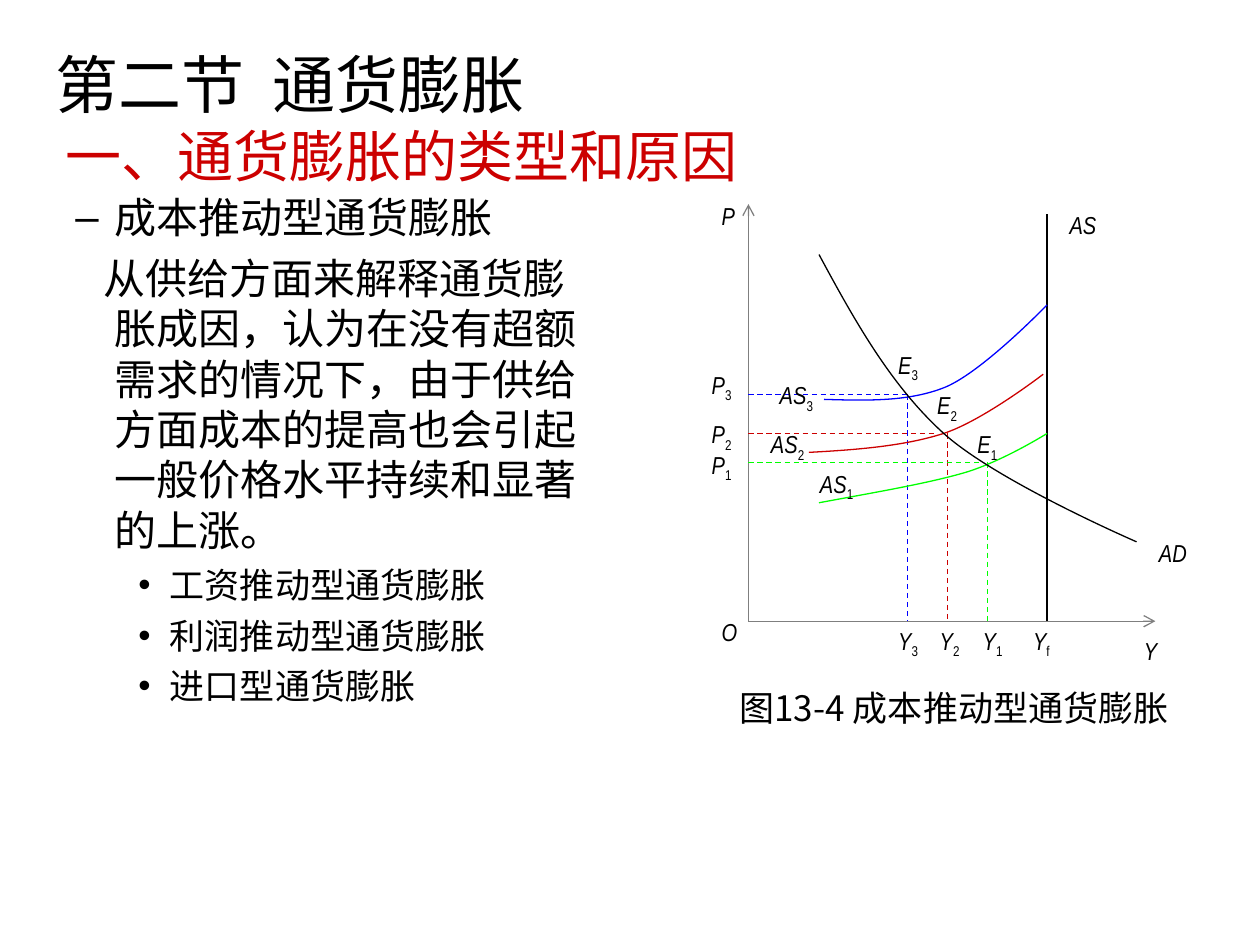
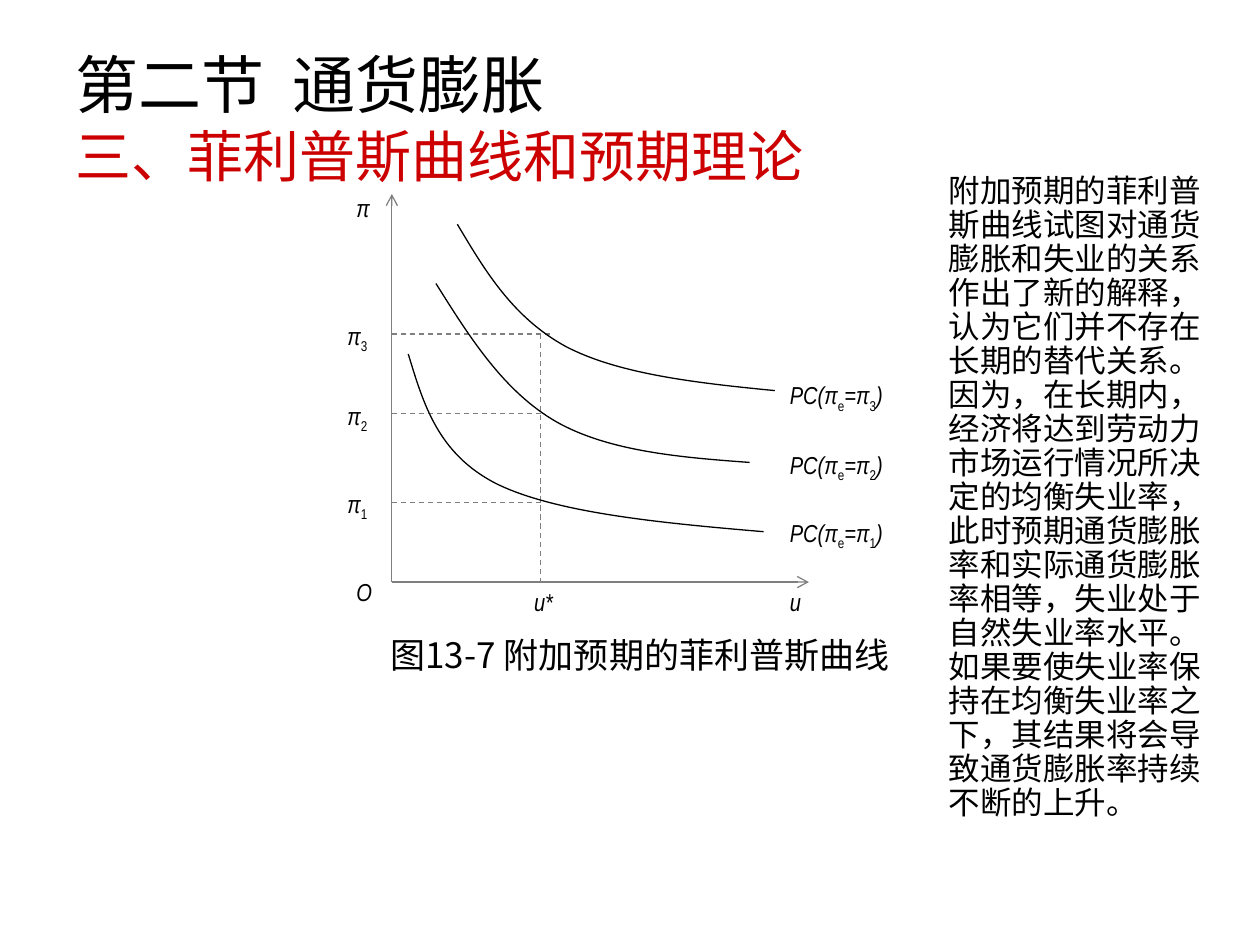
from lxml import etree
from pptx import Presentation
from pptx.dml.color import RGBColor
from pptx.enum.dml import MSO_LINE
from pptx.enum.shapes import MSO_CONNECTOR
from pptx.enum.text import MSO_ANCHOR
from pptx.oxml.ns import qn
from pptx.util import Inches, Pt

DASH = MSO_LINE.DASH
STRAIGHT = MSO_CONNECTOR.STRAIGHT
MIDDLE = MSO_ANCHOR.MIDDLE
TOP = MSO_ANCHOR.TOP

# Shared style
BLACK, RED, GREY = "000000", "CC0000", "7F7F7F"
BLUE, GREEN = "0000FF", "00FF00"
SANS, NARROW, HAN = "Arial", "Arial Narrow", "Noto Sans CJK SC"
LEADING = 1.2


def rgb(code):
    return RGBColor.from_string(code)


# Text
def add_box(slide, left, top, width, height, anchor=TOP, inset=(0.1, 0.05)):
    frame = slide.shapes.add_textbox(
        Inches(left), Inches(top), Inches(width), Inches(height)).text_frame
    frame.word_wrap = True
    frame.vertical_anchor = anchor
    frame.margin_left = frame.margin_right = Inches(inset[0])
    frame.margin_top = frame.margin_bottom = Inches(inset[1])
    return frame


def add_run(para, text, size, face=SANS, color=BLACK):
    run = para.add_run()
    run.text = text
    run.font.size = Pt(size)
    run.font.name = face
    run.font.color.rgb = rgb(color)
    etree.SubElement(run.font._element, qn("a:ea"), typeface=HAN)
    return run


def add_para(frame, text, size, face=SANS, color=BLACK, left=0, hang=0,
             gap=0, bullet=None, tight=1):
    """Add one paragraph; the first one fills the empty paragraph of the box."""
    para = frame.paragraphs[0]
    if para.runs:
        para = frame.add_paragraph()
        para.space_before = Pt(gap)
    para.line_spacing = Pt(size * LEADING * tight)
    props = para._p.get_or_add_pPr()
    props.set("marL", str(Inches(left)))
    props.set("indent", str(Inches(hang)))
    if bullet:
        etree.SubElement(props, qn("a:buFont"), typeface=SANS)
        etree.SubElement(props, qn("a:buChar"), char=bullet)
    else:
        etree.SubElement(props, qn("a:buNone"))
    add_run(para, text, size, face, color)


def add_title(slide, left, head, indent=0):
    frame = add_box(slide, left, 0.46, 9, 0.94, MIDDLE)
    add_para(frame, "第二节  通货膨胀", 36, HAN)
    add_para(frame, head, 32, HAN, RED, left=indent)


def add_caption(slide, left, top, width, text):
    add_para(add_box(slide, left, top, width, 0.77), text, 20, HAN)


def add_label(slide, text, left, top, width=0.6, stops=()):
    """Italic label; the letter after each underscore is an upright subscript."""
    height = 0.37 if "_" in text else 0.34
    para = add_box(slide, left, top, width, height).paragraphs[0]
    if stops:
        tabs = etree.SubElement(para._p.get_or_add_pPr(), qn("a:tabLst"))
        for stop in stops:
            etree.SubElement(tabs, qn("a:tab"), pos=str(Inches(stop)),
                             algn="l")
    first, *rest = text.split("_")
    add_run(para, first, 14, NARROW).font.italic = True
    for part in rest:
        sub = add_run(para, part[0], 14, NARROW)
        sub.font._element.set("baseline", "-25000")
        if part[1:]:
            add_run(para, part[1:], 14, NARROW).font.italic = True


# Lines and curves
def add_line(slide, start, end, color=GREY, dash=False, arrow=False):
    line = slide.shapes.add_connector(
        STRAIGHT, *(Inches(v) for v in (*start, *end)))
    line.line.color.rgb = rgb(color)
    line.line.width = Pt(0.75)
    if dash:
        line.line.dash_style = DASH
    if arrow:
        etree.SubElement(line.line._get_or_add_ln(), qn("a:tailEnd"),
                         type="arrow")
    etree.SubElement(line._element.spPr, qn("a:effectLst"))


def add_axes(slide, zero, right, top):
    add_line(slide, zero, (right, zero[1]), arrow=True)
    add_line(slide, zero, (zero[0], top), arrow=True)


def add_curve(slide, color, *knots):
    """Draw joined cubic curves: a start point, then three points for each."""
    spots = [(Inches(x), Inches(y)) for x, y in knots]
    pen = slide.shapes.build_freeform(*spots[0])
    pen.add_line_segments(spots[1:], close=False)
    curve = pen.convert_to_shape()
    # Turn each three straight steps into one cubic segment
    steps = list(curve._element.iter(qn("a:lnTo")))
    for i in range(0, len(steps), 3):
        cubic = etree.Element(qn("a:cubicBezTo"))
        steps[i].addprevious(cubic)
        for step in steps[i:i + 3]:
            cubic.append(step[0])
            step.getparent().remove(step)
    curve.shadow.inherit = False
    curve.fill.background()
    curve.line.color.rgb = rgb(color)
    curve.line.width = Pt(0.75)


# Slide 1: cost-push inflation
def cost_slide(slide):
    add_title(slide, 0.34, "一、通货膨胀的类型和原因", 0.08)
    body = add_box(slide, 0, 1.47, 4.82, 5.23)
    add_para(body, "成本推动型通货膨胀", 24, left=0.81, hang=-0.31, bullet="–")
    add_para(body, "从供给方面来解释通货膨胀成因，认为在没有超额需求的情况下，"
             "由于供给方面成本的提高也会引起一般价格水平持续和显著的上涨。",
             24, left=0.81, hang=-0.09, gap=6)
    for kind in ("工资推动型", "利润推动型", "进口型"):
        add_para(body, kind + "通货膨胀", 20, left=1.25, hang=-0.25, gap=5,
                 bullet="•")
    add_caption(slide, 5.77, 5.4, 3.92, "图13-4 成本推动型通货膨胀")

    # Axes, full-output line and price guides
    x0, y0 = 5.94, 4.93
    add_axes(slide, (x0, y0), 9.17, 1.62)
    add_line(slide, (8.31, 1.7), (8.31, y0), BLACK)
    for color, end, x, y in ((BLUE, 7.2, 7.2, 3.13), (RED, 7.44, 7.52, 3.44),
                             (GREEN, 7.81, 7.84, 3.67)):
        add_line(slide, (x0, y), (end, y), color, dash=True)
        add_line(slide, (x, y), (x, y0), color, dash=True)

    # Supply and demand curves
    add_curve(slide, GREEN, (6.5, 3.99), (6.93, 3.91), (7.35, 3.84),
              (7.66, 3.75), (7.96, 3.66), (8.31, 3.44), (8.31, 3.44))
    add_curve(slide, RED, (6.42, 3.59), (6.8, 3.57), (7.18, 3.54),
              (7.49, 3.44), (7.8, 3.34), (8.28, 2.97), (8.28, 2.97))
    add_curve(slide, BLUE, (6.54, 3.17), (6.88, 3.18), (7.22, 3.19),
              (7.51, 3.07), (7.81, 2.94), (8.31, 2.42), (8.31, 2.42))
    add_curve(slide, BLACK, (6.5, 2.02), (6.78, 2.54), (7.07, 3.06),
              (7.49, 3.44), (7.91, 3.82), (9.02, 4.3), (9.02, 4.3))

    # Labels
    for text, x, y in (
            ("O", 5.63, 4.85), ("AD", 9.1, 4.22), ("P", 5.63, 1.55),
            ("AS", 8.39, 1.62), ("Y", 8.98, 5),
            ("P_1", 5.55, 3.52), ("P_2", 5.55, 3.28), ("P_3", 5.55, 2.89),
            ("AS_1", 6.41, 3.67), ("AS_2", 6.02, 3.36), ("AS_3", 6.09, 2.97),
            ("E_1", 7.66, 3.36), ("E_2", 7.34, 3.05), ("E_3", 7.03, 2.73)):
        add_label(slide, text, x, y)
    add_label(slide, "Y_3\tY_2\tY_1\tY_f", 7.03, 4.92, 1.88,
              stops=(0.33, 0.67, 1.07))


# Slide 2: Phillips curves with expectations
def phillips_slide(slide):
    add_title(slide, 0.5, "三、菲利普斯曲线和预期理论")
    add_caption(slide, 3, 4.98, 4.51, "图13-7 附加预期的菲利普斯曲线")
    note = add_box(slide, 6.03, 1.38, 3.7, 5.16, inset=(0, 0.01))
    add_para(note, "附加预期的菲利普斯曲线试图对通货膨胀和失业的关系作出了新的"
             "解释，认为它们并不存在长期的替代关系。因为，在长期内，经济将达到"
             "劳动力市场运行情况所决定的均衡失业率，此时预期通货膨胀率和实际"
             "通货膨胀率相等，失业处于自然失业率水平。如果要使失业率保持在均衡"
             "失业率之下，其结果将会导致通货膨胀率持续不断的上升。",
             18, left=1.5, tight=0.9)

    # Axes and guides
    x0, y0, star = 3.11, 4.62, 4.29
    add_axes(slide, (x0, y0), 6.42, 1.54)
    for end, y in ((star, 3.99), (star, 3.28), (4.37, 2.65)):
        add_line(slide, (x0, y), (end, y), dash=True)
    add_line(slide, (star, 2.65), (star, y0), dash=True)

    # Curves
    add_curve(slide, BLACK, (3.63, 1.78), (3.85, 2.15), (4.07, 2.52),
              (4.49, 2.75), (4.91, 2.97), (5.53, 3.04), (6.15, 3.1))
    add_curve(slide, BLACK, (3.46, 2.25), (3.73, 2.68), (4, 3.11),
              (4.42, 3.35), (4.83, 3.58), (5.39, 3.63), (5.95, 3.67))
    add_curve(slide, BLACK, (3.24, 2.81), (3.36, 3.2), (3.47, 3.6),
              (3.94, 3.84), (4.41, 4.07), (5.23, 4.15), (6.06, 4.22))

    # Labels
    for text, x, y in (("O", 2.73, 4.53), ("π", 2.73, 1.48),
                       ("u", 6.17, 4.61), ("u*", 4.14, 4.61)):
        add_label(slide, text, x, y)
    for n, rate, curve in ((1, 3.83, 4.06), (2, 3.13, 3.52), (3, 2.5, 2.97)):
        add_label(slide, f"π_{n}", 2.66, rate)
        add_label(slide, f"PC(π_e=π_{n})", 6.17, curve, 1.25)


def main():
    deck = Presentation()
    deck.slide_width, deck.slide_height = Inches(10), Inches(7.5)
    for draw in (cost_slide, phillips_slide):
        draw(deck.slides.add_slide(deck.slide_layouts[6]))
    deck.save("out.pptx")


if __name__ == "__main__":
    main()
